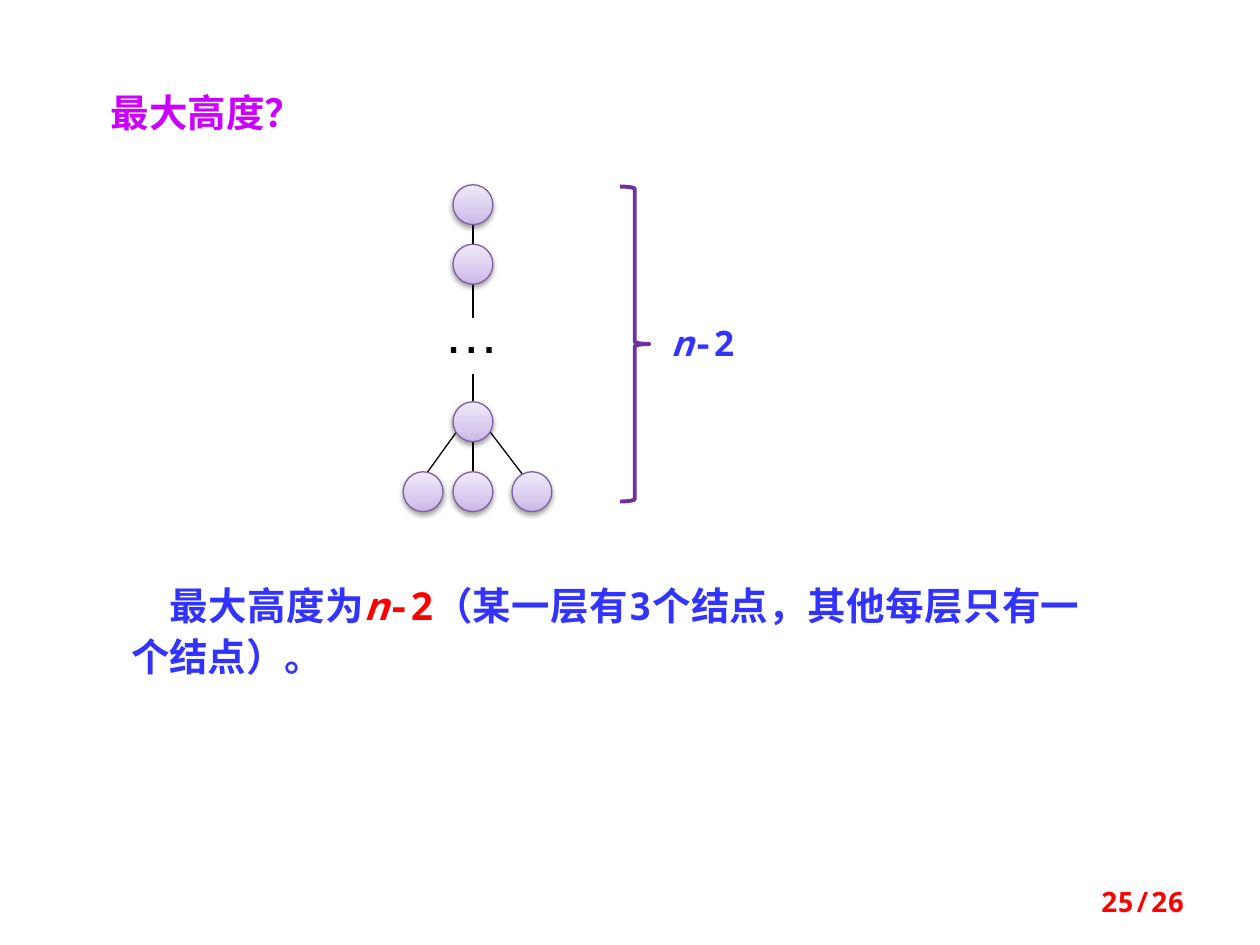
from lxml.etree import SubElement
from pptx import Presentation
from pptx.dml.color import RGBColor
from pptx.enum.shapes import MSO_CONNECTOR, MSO_SHAPE
from pptx.enum.text import MSO_ANCHOR, MSO_AUTO_SIZE, PP_ALIGN
from pptx.oxml import parse_xml
from pptx.oxml.ns import nsdecls, qn
from pptx.util import Pt

FONT = "Noto Sans Mono"
BLUE, RED, MAGENTA, PURPLE = "3333FF", "FF0000", "CC00FF", "7030A0"
BLACK, NODE_LINE = "000000", "7D60A0"
NODE_STOPS = ((0, "C9B5E8"), (35, "D8CBEE"), (100, "F0EAF9"))
NODE_SIZE = 22.8
TRUNK = 270.3
LEAF_Y = 281
NODES = ((TRUNK, 117), (TRUNK, 151), (TRUNK, 241),
         (241.8, LEAF_Y), (304, LEAF_Y), (TRUNK, LEAF_Y))
EDGES = ((TRUNK, 122, TRUNK, 145), (TRUNK, 159, TRUNK, 182),
         (TRUNK, 214, TRUNK, 236), (TRUNK, 247, TRUNK, 276),
         (276, 241.5, 302.5, 276.2), (266.5, 239, 242, 273))


def color(value):
    """Turn a hex string into a colour."""
    return RGBColor.from_string(value)


def place(shape, left, top, width, height):
    """Move and size a shape, in points."""
    shape.left, shape.top = Pt(left), Pt(top)
    shape.width, shape.height = Pt(width), Pt(height)


def write(shape, *runs, size, font=FONT, bold=True, align=PP_ALIGN.LEFT,
          anchor=MSO_ANCHOR.TOP, spacing=1.0, indent=0, margin=None):
    """Write (text, colour, italic) runs as the paragraph of a shape."""
    frame = shape.text_frame
    frame.word_wrap = True
    frame.auto_size = MSO_AUTO_SIZE.NONE
    frame.vertical_anchor = anchor
    if margin is not None:
        frame.margin_left = frame.margin_right = Pt(margin)
        frame.margin_top = frame.margin_bottom = Pt(margin)
    paragraph = frame.paragraphs[0]
    paragraph.alignment = align
    paragraph.line_spacing = spacing
    paragraph.space_before = Pt(0)
    properties = paragraph._p.get_or_add_pPr()
    properties.set("marL", "0")
    properties.set("indent", str(Pt(indent)))
    SubElement(properties, qn("a:buNone"))
    for text, value, italic in runs:
        run = paragraph.add_run()
        run.text = text
        run.font.name, run.font.size = font, Pt(size)
        run.font.bold, run.font.italic = bold, italic
        run.font.color.rgb = color(value)


def add_text(shapes, box, *runs, **style):
    """Add a text box with formatted runs."""
    textbox = shapes.add_textbox(*map(Pt, box))
    write(textbox, *runs, **style)


def add_edge(shapes, points):
    """Add a thin black tree edge."""
    edge = shapes.add_connector(MSO_CONNECTOR.STRAIGHT, *map(Pt, points))
    edge.line.color.rgb = color(BLACK)
    edge.line.width = Pt(0.75)
    SubElement(edge._element.spPr, qn("a:effectLst"))


def add_node(shapes, center_x, center_y):
    """Add a shaded round tree node with a soft shadow."""
    half = NODE_SIZE / 2
    node = shapes.add_shape(MSO_SHAPE.OVAL, Pt(center_x - half), Pt(center_y - half),
                            Pt(NODE_SIZE), Pt(NODE_SIZE))
    node.line.color.rgb = color(NODE_LINE)
    node.line.width = Pt(0.75)
    node.fill.background()
    stops = "".join(f'<a:gs pos="{position * 1000}"><a:srgbClr val="{value}"/></a:gs>'
                    for position, value in NODE_STOPS)
    gradient = parse_xml(f'<a:gradFill {nsdecls("a")}><a:gsLst>{stops}</a:gsLst>'
                         '<a:lin ang="16200000" scaled="0"/></a:gradFill>')
    properties = node._element.spPr
    properties.replace(properties.find(qn("a:noFill")), gradient)
    properties.append(parse_xml(
        f'<a:effectLst {nsdecls("a")}><a:outerShdw blurRad="{Pt(3.1)}" dist="{Pt(1.6)}" '
        f'dir="5400000" rotWithShape="0"><a:srgbClr val="{BLACK}"><a:alpha val="38000"/>'
        '</a:srgbClr></a:outerShdw></a:effectLst>'))


def add_tree(slide):
    """Add the grouped tree: edges, ellipsis, then nodes."""
    shapes = slide.shapes.add_group_shape().shapes
    for points in EDGES:
        add_edge(shapes, points)
    add_text(shapes, (253.4, 170, 45.4, 38), ("…", BLACK, False),
             size=32, font="Arial", bold=False, margin=0)
    for center in NODES:
        add_node(shapes, *center)


def add_brace(slide):
    """Add the brace that spans the height of the tree."""
    brace = slide.shapes.add_shape(MSO_SHAPE.RIGHT_BRACE, Pt(354.3), Pt(106.6), Pt(16.9), Pt(180))
    brace.fill.background()
    brace.line.color.rgb = color(PURPLE)
    brace.line.width = Pt(2.25)
    brace.shadow.inherit = False


def main():
    """Build and save the slide."""
    presentation = Presentation()
    presentation.slide_width, presentation.slide_height = Pt(720), Pt(540)
    slide = presentation.slides.add_slide(presentation.slide_layouts[1])
    title, body = slide.placeholders
    place(title, 56.2, 44.6, 193.7, 36.7)
    write(title, ("最大高度？", MAGENTA, False), size=22, spacing=1.1, align=PP_ALIGN.JUSTIFY)
    add_tree(slide)
    place(body, 67.7, 326.2, 556.6, 66.2)
    write(body, ("最大高度为", BLUE, False), ("n", RED, True), ("-2", RED, False),
          ("（某一层有3个结点，其他每层只有一个结点）。", BLUE, False),
          size=22, spacing=1.1, indent=22, align=PP_ALIGN.JUSTIFY)
    add_brace(slide)
    add_text(slide.shapes, (376.6, 180, 56.2, 31.7), ("n", BLUE, True), ("-2", BLUE, False), size=20)
    add_text(slide.shapes, (516.2, 500.4, 167.8, 28.8), ("25/26", RED, False),
             size=16, align=PP_ALIGN.RIGHT, anchor=MSO_ANCHOR.MIDDLE)
    presentation.save("out.pptx")


if __name__ == "__main__":
    main()
